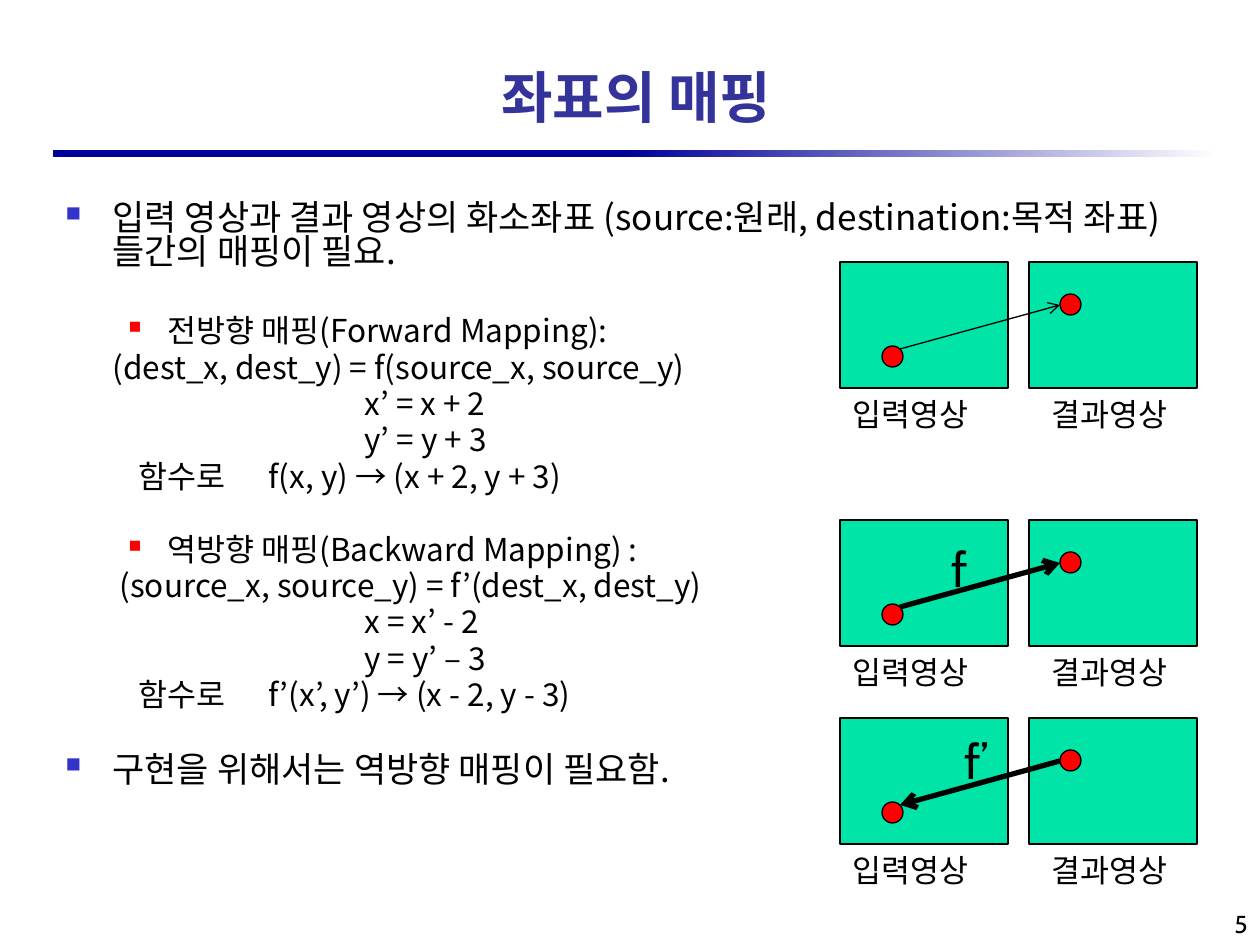
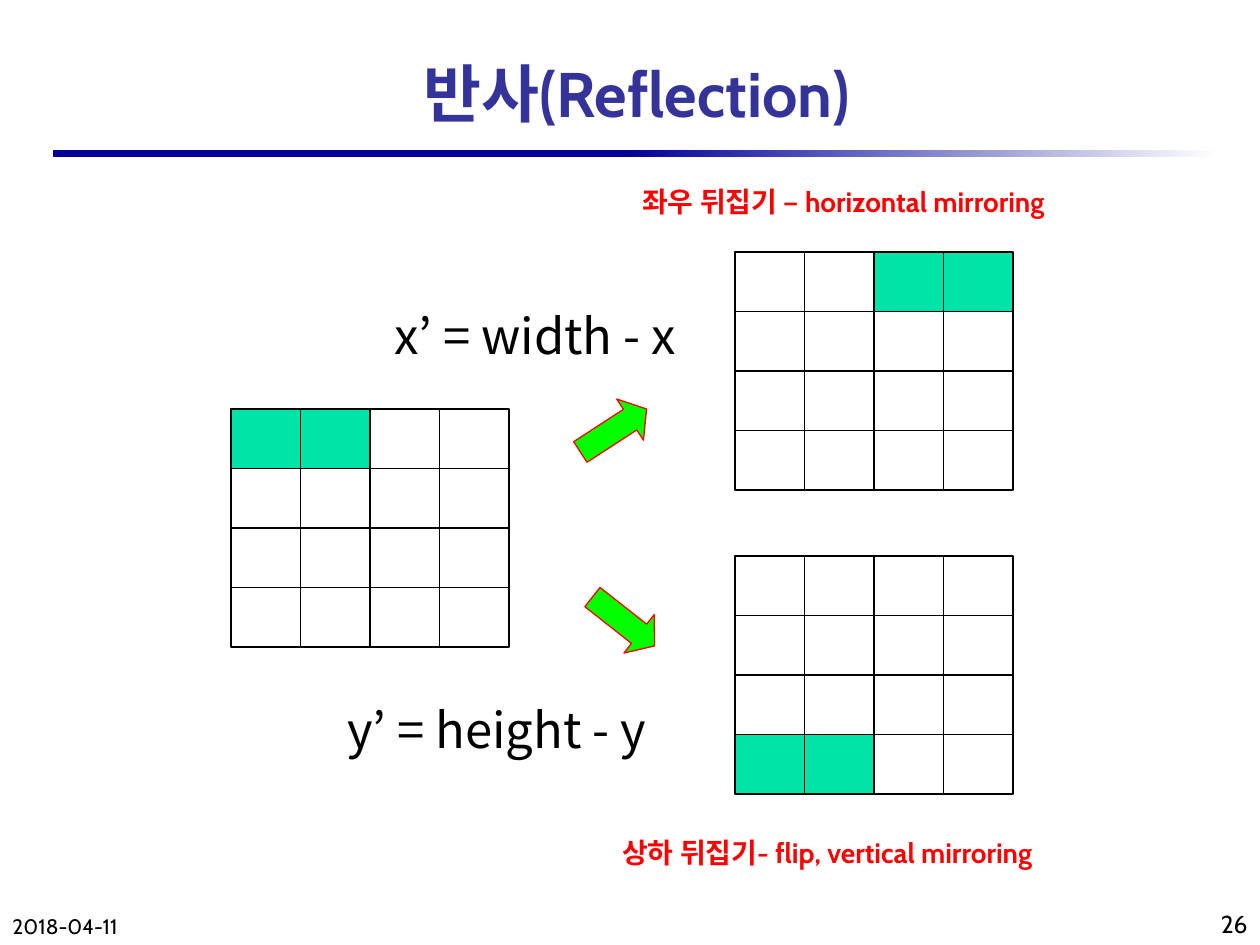
import lxml.etree
import pptx
import pptx.dml.color
import pptx.enum.shapes
import pptx.enum.text
import pptx.oxml.ns
import pptx.util

PX = 7257  # EMU in one px, 126 px to the inch

NAVY = pptx.dml.color.RGBColor(0x00, 0x00, 0x99)
INDIGO = pptx.dml.color.RGBColor(0x33, 0x33, 0x99)
GREEN = pptx.dml.color.RGBColor(0x00, 0xE4, 0xA8)
LIME = pptx.dml.color.RGBColor(0x00, 0xFF, 0x00)
RED = pptx.dml.color.RGBColor(0xFF, 0x00, 0x00)
BLUE = pptx.dml.color.RGBColor(0x33, 0x33, 0xCC)
BLACK = pptx.dml.color.RGBColor(0x00, 0x00, 0x00)
WHITE = pptx.dml.color.RGBColor(0xFF, 0xFF, 0xFF)

CABIN = "Cabin"
NOTO = "Noto Sans CJK KR"
TIMES = "Times New Roman"

SHAPE = pptx.enum.shapes.MSO_SHAPE
ALIGN = pptx.enum.text.PP_ALIGN
ANCHOR = pptx.enum.text.MSO_ANCHOR
qn = pptx.oxml.ns.qn


def add_runs(paragraph, runs, size, color=BLACK, bold=False):
    for text, font_name in runs:
        run = paragraph.add_run()
        run.text = text
        run.font.name = font_name
        run.font.size = pptx.util.Pt(size)
        run.font.bold = bold
        run.font.color.rgb = color


def add_block(slide, kind, left, top, width, height, fill, line):
    block = slide.shapes.add_shape(
        kind, *(round(length * PX) for length in (left, top, width, height)))
    block.shadow.inherit = False
    block.fill.solid()
    block.fill.fore_color.rgb = fill
    block.line.color.rgb = line
    block.line.width = pptx.util.Pt(0.75)
    return block


prs = pptx.Presentation()
prs.slide_width = pptx.util.Inches(10)
prs.slide_height = pptx.util.Inches(7.5)
mapping = prs.slides.add_slide(prs.slide_layouts[1])
reflection = prs.slides.add_slide(prs.slide_layouts[5])

# Shared title and band
for slide, heading, size in ((mapping, "좌표의 매핑", 32),
                             (reflection, "반사(Reflection)", 36)):
    title = slide.shapes.title
    title.left, title.top = 105 * PX, 32 * PX
    title.width, title.height = 1063 * PX, 104 * PX
    title.text_frame.auto_size = pptx.enum.text.MSO_AUTO_SIZE.NONE
    title.text_frame.vertical_anchor = ANCHOR.BOTTOM
    title.text_frame.paragraphs[0].alignment = ALIGN.CENTER
    add_runs(title.text_frame.paragraphs[0], [(heading, CABIN)], size, INDIGO, True)

    band = add_block(slide, SHAPE.ROUNDED_RECTANGLE, 53, 150, 1165, 7, NAVY, NAVY)
    band.line.fill.background()
    band.fill.gradient()
    band.fill.gradient_angle = 0
    for stop, position, color in zip(band.fill.gradient_stops, (0.49, 1), (NAVY, WHITE)):
        stop.position = position
        stop.color.rgb = color

# Mapping: text; each style has level, margin and indent in px, and size;
# each line has space before in pt, bullet colour and bullet size in percent
TOPIC = (0, 47, -47, 20)
METHOD = (1, 102, -39, 18)
PAIR = (0, 47, 0, 18)
INVERSE_PAIR = (0, 54, 0, 18)
EQUATION = (0, 299, 0, 18)
FUNCTION = (0, 203, -130, 18)
body_lines = (
    (TOPIC, 4, BLUE, 60, "입력 영상과 결과 영상의 화소좌표 (source:원래, destination:목적 좌표)들간의 매핑이 필요."),
    (METHOD, 27, RED, 55, "전방향 매핑(Forward Mapping):"),
    (PAIR, 3.5, None, 0, "(dest_x, dest_y) = f(source_x, source_y)"),
    (EQUATION, 3.5, None, 0, "x’ = x + 2"),
    (EQUATION, 3.5, None, 0, "y’ = y + 3"),
    (FUNCTION, 3.5, None, 0, "함수로\tf(x, y) → (x + 2, y + 3)"),
    (METHOD, 24.4, RED, 55, "역방향 매핑(Backward Mapping) :"),
    (INVERSE_PAIR, 3.5, None, 0, "(source_x, source_y) = f’(dest_x, dest_y)"),
    (EQUATION, 3.5, None, 0, "x = x’ - 2"),
    (EQUATION, 3.5, None, 0, "y = y’ – 3"),
    (FUNCTION, 3.5, None, 0, "함수로\tf’(x’, y’) → (x - 2, y - 3)"),
    (TOPIC, 24.4, BLUE, 60, "구현을 위해서는 역방향 매핑이 필요함."),
)
body = mapping.placeholders[1]
body.left, body.top = 53 * PX, 179 * PX
body.width, body.height = 1165 * PX, 724 * PX
body.text_frame.auto_size = pptx.enum.text.MSO_AUTO_SIZE.NONE
body.text_frame.margin_top = 25 * PX
body.text_frame.margin_right = 30 * PX
for number, (style, space, bullet_color, bullet_size, text) in enumerate(body_lines):
    level, margin, indent, size = style
    line = body.text_frame.add_paragraph() if number else body.text_frame.paragraphs[0]
    line.level = level
    line.line_spacing = 0.8
    line.space_before = pptx.util.Pt(space)
    add_runs(line, [(text, NOTO)], size)
    properties = line._p.get_or_add_pPr()
    properties.set("marL", str(margin * PX))
    properties.set("indent", str(indent * PX))
    if bullet_color is None:
        lxml.etree.SubElement(properties, qn("a:buNone"))
    else:
        color = lxml.etree.SubElement(properties, qn("a:buClr"))
        lxml.etree.SubElement(color, qn("a:srgbClr"), val=str(bullet_color))
        lxml.etree.SubElement(properties, qn("a:buSzPct"), val=str(bullet_size * 1000))
        lxml.etree.SubElement(properties, qn("a:buFont"), typeface="Wingdings")
        lxml.etree.SubElement(properties, qn("a:buChar"), char="n")

# Text boxes: slide, box in px, runs, size, colour, bold, wrap
texts = [
    (mapping, (939, 532, 42, 72), [("f", CABIN)], 28, BLACK, False, False),
    (mapping, (952, 724, 53, 72), [("f’", CABIN)], 28, BLACK, False, False),
    (reflection, (382, 299, 331, 72), [("x’ = width - x", NOTO)], 28, BLACK, False, False),
    (reflection, (335, 693, 353, 72), [("y’ = height - y", NOTO)], 28, BLACK, False, False),
    (reflection, (630, 178, 491, 47),
     [("좌우 뒤집기 ", CABIN), ("–", TIMES), (" horizontal mirroring", CABIN)],
     16, RED, True, False),
    (reflection, (610, 829, 507, 47),
     [("상하 뒤집기- flip, vertical mirroring", CABIN)], 16, RED, True, False),
]

# Mapping: pairs of input and result images
for top, weight, backward in ((262, 0.75, False), (520, 3, False), (718, 3, True)):
    for left in (840, 1029):
        add_block(mapping, SHAPE.RECTANGLE, left, top, 168, 126, GREEN, BLACK)
    for left, drop in ((882, 84), (1060, 32)):
        add_block(mapping, SHAPE.OVAL, left, top + drop, 21, 21, RED, BLACK)
    for left, label in ((840, "입력영상"), (1039, "결과영상")):
        texts.append((mapping, (left, top + 127, 158, 50), [(label, CABIN)],
                      18, BLACK, False, True))

    source, target = (900, top + 87), (1060, top + 43)
    if backward:
        source, target = target, source
    arrow = mapping.shapes.add_connector(
        pptx.enum.shapes.MSO_CONNECTOR.STRAIGHT,
        *(length * PX for length in source + target))
    arrow.line.color.rgb = BLACK
    arrow.line.width = pptx.util.Pt(weight)
    lxml.etree.SubElement(arrow.line._get_or_add_ln(), qn("a:tailEnd"), type="arrow")
    lxml.etree.SubElement(arrow._element.spPr, qn("a:effectLst"))

# Reflection: 4 by 4 pixel grids with the marked cells as (row, column)
for left, top, marked in ((231, 409, ((0, 0), (0, 1))),
                          (735, 252, ((0, 2), (0, 3))),
                          (735, 556, ((3, 0), (3, 1)))):
    cell_width, cell_height = 278 / 4, 238 / 4
    for row in range(4):
        for column in range(4):
            add_block(reflection, SHAPE.RECTANGLE,
                      left + column * cell_width, top + row * cell_height,
                      cell_width, cell_height,
                      GREEN if (row, column) in marked else WHITE, BLACK)

# Reflection: direction arrows
for left, top, angle in ((574, 406, 327), (584, 597, 38.2)):
    direction = add_block(reflection, SHAPE.RIGHT_ARROW, left, top, 79, 49, LIME, RED)
    direction.adjustments[0] = 0.5
    direction.adjustments[1] = 0.4
    direction.rotation = angle

# Labels, formulas and captions
for slide, box, runs, size, color, bold, wrap in texts:
    frame = slide.shapes.add_textbox(*(length * PX for length in box)).text_frame
    frame.word_wrap = wrap
    add_runs(frame.paragraphs[0], runs, size, color, bold)

# Footers
for slide, left, text, size, alignment in (
        (mapping, 998, "5", 14, ALIGN.RIGHT),
        (reflection, 998, "26", 14, ALIGN.RIGHT),
        (reflection, 0, "2018-04-11", 12, ALIGN.LEFT)):
    footer = slide.shapes.add_textbox(left * PX, 903 * PX, 262 * PX, 42 * PX).text_frame
    footer.word_wrap = True
    footer.vertical_anchor = ANCHOR.BOTTOM
    footer.paragraphs[0].alignment = alignment
    add_runs(footer.paragraphs[0], [(text, CABIN)], size)

prs.save("out.pptx")
